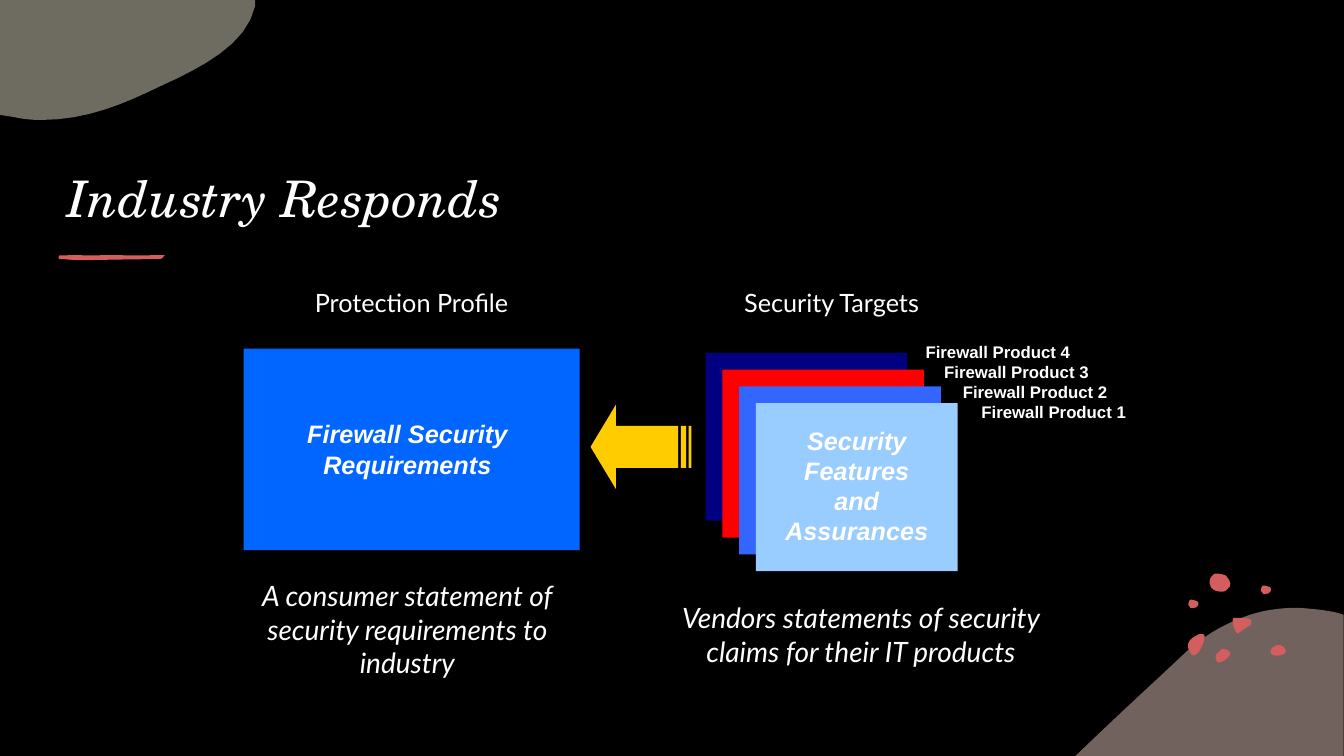
from lxml.etree import SubElement
from pptx import Presentation
from pptx.dml.color import RGBColor
from pptx.enum.shapes import MSO_SHAPE as SHAPE
from pptx.enum.text import MSO_ANCHOR as ANCHOR, MSO_AUTO_SIZE as AUTO, PP_ALIGN as ALIGN
from pptx.oxml.ns import qn
from pptx.util import Inches, Pt

BLACK = RGBColor(0x00, 0x00, 0x00)
WHITE = RGBColor(0xFF, 0xFF, 0xFF)
CORAL = RGBColor(0xD4, 0x5E, 0x5E)
ROSE = RGBColor(0xE5, 0xC4, 0xBA)
SAND = RGBColor(0xDC, 0xD9, 0xC3)
AZURE = RGBColor(0x00, 0x66, 0xFF)
NAVY = RGBColor(0x00, 0x00, 0x80)
RED = RGBColor(0xFF, 0x00, 0x00)
BLUE = RGBColor(0x33, 0x66, 0xFF)
SKY = RGBColor(0x99, 0xCC, 0xFF)
YELLOW = RGBColor(0xFF, 0xCC, 0x00)

COLS, ROWS = 80, 45
FINE = 0.06

LABEL = dict(name="Lato", size=Pt(18))
CAPTION = dict(name="Lato", size=Pt(20), italic=True)
BOXED = dict(name="Arial", size=Pt(18), bold=True, italic=True)
PRODUCT = dict(name="Arial", size=Pt(12), bold=True)
TITLE = dict(name="TeX Gyre Schola", size=Pt(36), italic=True, bold=False)

HILL = [(1288, 603), (1301, 604, 1314, 605, 1327, 608), (1333, 610), (1333, 750), (1067, 750),
        (1068, 749), (1102, 716, 1137, 684, 1169, 654), (1191, 632, 1214, 619, 1237, 611),
        (1254, 605, 1271, 603, 1288, 603)]
CLOUD = [(0, 0), (253, 0), (253, 6), (245, 44, 200, 67, 158, 86), (123, 103, 86, 119, 41, 119),
         (31, 119, 22, 118, 13, 116), (0, 114)]
BRUSH = [(1, 0.5), (17, 0), (30, 0.5), (53, 0), (75, 0.5), (106, 0), (103, 1, 105, 4, 99, 4),
         (60, 4.5), (32, 5), (17, 5), (3, 4), (-1, 5, 0, 1, 1, 0.5)]
PEBBLE = [(0, 5), (0, 5, 0, 1, 2, 0), (4, 0, 5, 0, 7, 1), (8, 1, 10, 2, 10, 4),
          (10, 5, 9, 7, 8, 7), (8, 7, 8, 8, 6, 8), (5, 8, 3, 9, 2, 8), (1, 6, 0, 6, 0, 5)]
OVAL = [(7, 0), (9, 0, 10, 0, 12, 1), (14, 2, 15, 4, 14, 6), (12, 9, 6, 14, 2, 13),
        (1, 12, 0, 10, 0, 8), (0, 6, 2, 3, 4, 2), (5, 1, 6, 0, 7, 0)]
LEAF = [(12, 0), (14, 0, 16, 0, 16, 2), (16, 3, 16, 3, 16, 4), (15, 9, 13, 14, 10, 18),
        (8, 20, 5, 23, 3, 20), (0, 17, -1, 12, 0, 9), (1, 6, 3, 5, 5, 3), (6, 3, 9, 0, 12, 0)]
BEAN = [(8, 0), (10, 0, 13, 2, 14, 4), (15, 6, 15, 8, 12, 9), (9, 11, 1, 11, 0, 8),
        (-1, 6, 0, 4, 1, 3), (3, 1, 5, 0, 8, 0)]
STONE = [(1, 12), (0, 12, -1, 6, 2, 3), (4, 1, 4, 0, 7, 0), (10, 0, 14, 1, 16, 2),
         (18, 4, 22, 9, 20, 13), (17, 16, 16, 18, 12, 18), (9, 18, 4, 17, 3, 15),
         (1, 14, 1, 13, 1, 12)]
WEDGE = [(5, 0), (11, 0, 22, 0, 18, 6), (18, 7, 17, 8, 16, 8), (13, 10, 10, 12, 7, 14),
         (6, 15, 5, 16, 4, 15), (1, 10, 0, 7, 0, 3), (0, 2, 0, 1, 1, 0), (5, 0)]
DOTS = [(72.36, 38.64, OVAL), (70.74, 37.74, LEAF), (75.66, 38.4, BEAN), (72, 34.14, STONE),
        (75.06, 34.86, PEBBLE), (70.74, 35.7, PEBBLE), (73.38, 36.78, WEDGE)]


class Canvas:
    def __init__(self, prs, s):
        self.s = s
        self.w, self.h = prs.slide_width / COLS, prs.slide_height / ROWS

    def place(self, *box):
        return [round(v * u) for v, u in zip(box, (self.w, self.h) * 2)]

    def paint(self, sp, color, alpha=None):
        sp.shadow.inherit = False
        sp.line.fill.background()
        sp.fill.solid()
        sp.fill.fore_color.rgb = color
        if alpha:
            clr = sp._element.spPr.find(qn("a:solidFill"))[0]
            SubElement(clr, qn("a:alpha")).set("val", str(alpha * 1000))
        return sp

    def shape(self, kind, box, color):
        return self.paint(self.s.shapes.add_shape(kind, *self.place(*box)), color)

    def outline(self, col, row, steps, color, alpha=None):
        points = [steps[0]]
        for step in steps[1:]:
            if len(step) == 2:
                points.append(step)
                continue
            knots = [points[-1], step[:2], step[2:4], step[4:]]
            for i in range(1, 9):
                t = i / 8
                weights = ((1 - t) ** 3, 3 * t * (1 - t) ** 2, 3 * t * t * (1 - t), t ** 3)
                points.append(tuple(sum(k * knot[axis] for k, knot in zip(weights, knots))
                                    for axis in (0, 1)))
        points = [self.place(col + x * FINE, row + y * FINE) for x, y in points]
        fb = self.s.shapes.build_freeform(*points[0], scale=1.0)
        fb.add_line_segments(points[1:], close=True)
        return self.paint(fb.convert_to_shape(), color, alpha)

    def fill_text(self, sp, lines, style, align, anchor, indent=0):
        tf = sp.text_frame
        tf.word_wrap = True
        tf.auto_size = AUTO.NONE
        tf.vertical_anchor = anchor
        for i, line in enumerate(lines):
            p = tf.add_paragraph() if i else tf.paragraphs[0]
            p.alignment = align
            if i and indent:
                p._p.get_or_add_pPr().set("marL", str(round(i * indent * self.w)))
            r = p.add_run()
            r.text = line
            r.font.color.rgb = WHITE
            for key, value in style.items():
                setattr(r.font, key, value)

    def text(self, box, lines, style, align=ALIGN.CENTER, indent=0):
        sp = self.s.shapes.add_textbox(*self.place(*box))
        self.fill_text(sp, lines, style, align, ANCHOR.MIDDLE, indent)

    def title(self, box, line):
        sp = self.s.shapes.title
        sp.left, sp.top, sp.width, sp.height = self.place(*box)
        self.fill_text(sp, [line], TITLE, ALIGN.LEFT, ANCHOR.BOTTOM)


def main():
    prs = Presentation()
    prs.slide_width, prs.slide_height = Inches(13.33), Inches(7.5)
    s = prs.slides.add_slide(prs.slide_layouts[5])
    s.background.fill.solid()
    s.background.fill.fore_color.rgb = BLACK
    c = Canvas(prs, s)

    c.outline(0, 0, HILL, ROSE, 50)
    for col, row, dot in DOTS:
        c.outline(col, row, dot, CORAL)
    c.outline(0, 0, CLOUD, SAND, 50)
    c.outline(3.48, 15.18, BRUSH, CORAL)
    c.title((3.4, 5.15, 66.1, 8.7), "Industry Responds")

    c.shape(SHAPE.RECTANGLE, (14.5, 20.75, 20, 12), AZURE)
    c.text((15.5, 24.6, 17.5, 4.25), ["Firewall Security Requirements"], BOXED)
    for col, label in ((15, "Protection Profile"), (40, "Security Targets")):
        c.text((col, 16.8, 19, 2.4), [label], LABEL)
    for col, row, caption in (
            (13, 34.15, "A consumer statement of security requirements to industry"),
            (40, 34.45, "Vendors statements of security claims for their IT products")):
        c.text((col, row, 22.5, 6.6), [caption], CAPTION)

    for i, color in enumerate((NAVY, RED, BLUE, SKY)):
        c.shape(SHAPE.RECTANGLE, (42 + i, 21 + i, 12, 10), color)
    c.text((46, 25, 10, 7.8), ["Security Features and Assurances"], BOXED)
    c.text((54.5, 20, 14, 5.45), [f"Firewall Product {n}" for n in (4, 3, 2, 1)],
           PRODUCT, ALIGN.LEFT, indent=1.11)

    arrow = c.shape(SHAPE.STRIPED_RIGHT_ARROW, (35.15, 24.1, 6, 5), YELLOW)
    arrow.rotation = 180
    arrow.adjustments[1] = 0.3

    prs.save("out.pptx")


if __name__ == "__main__":
    main()
